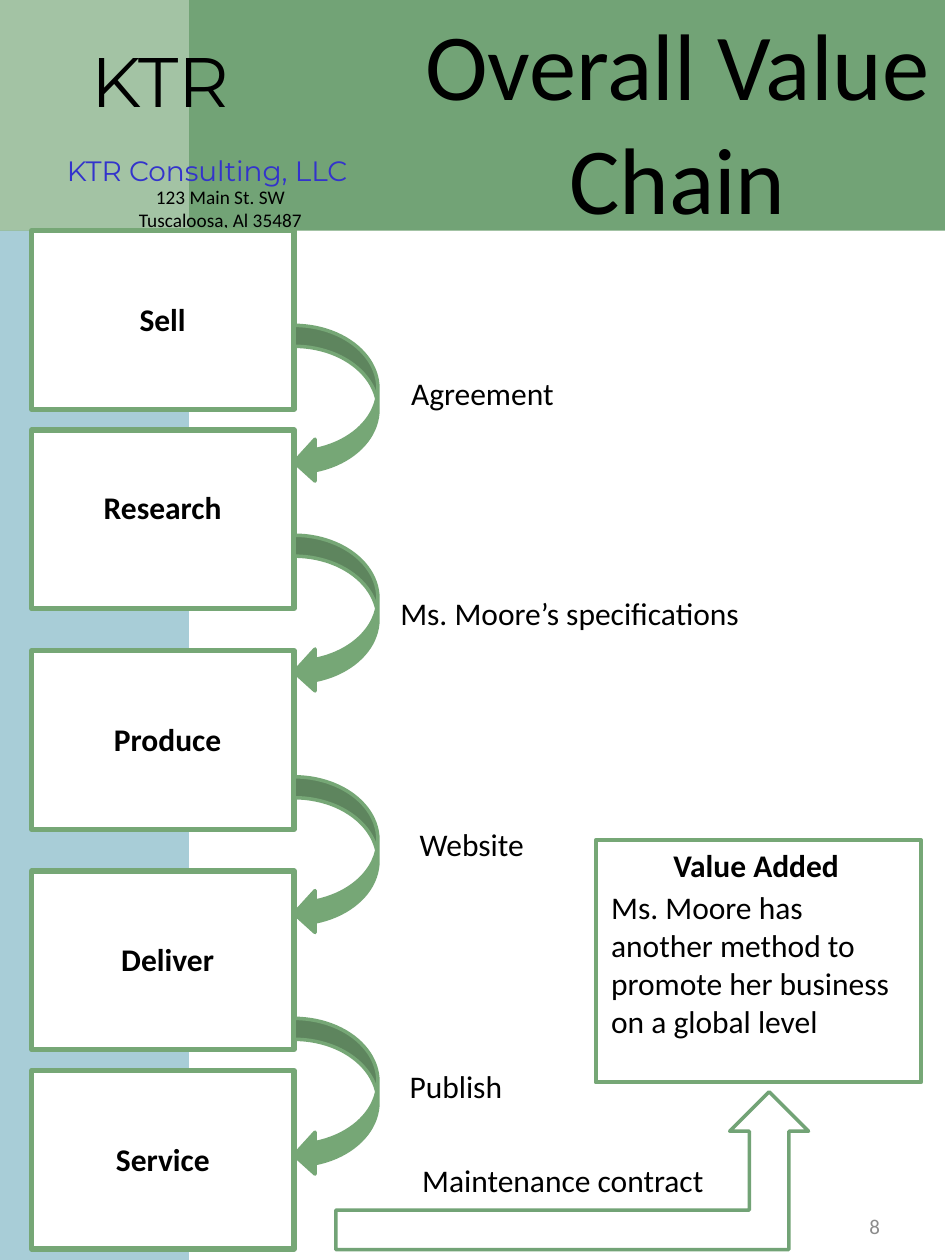
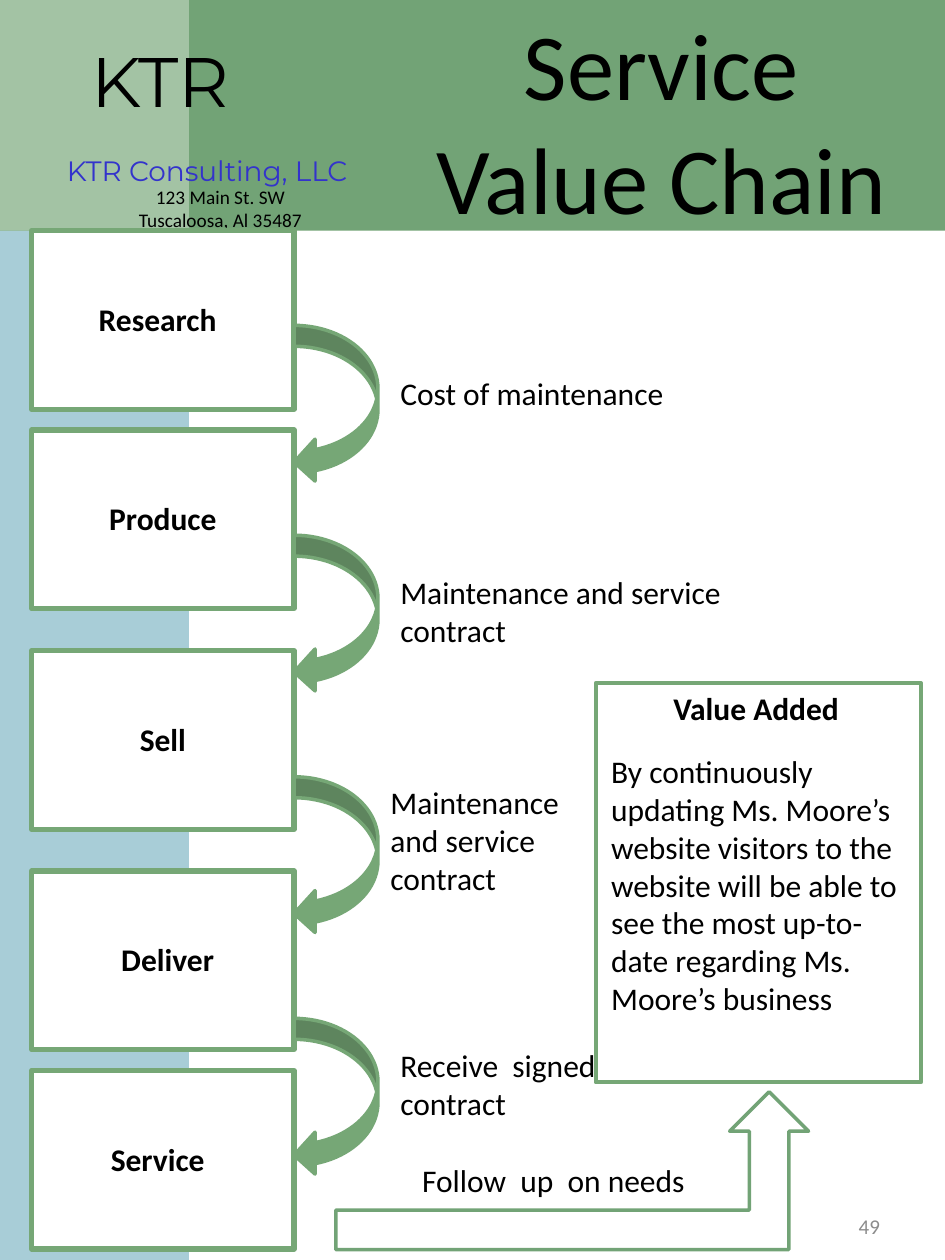
from dataclasses import dataclass

from lxml import etree
from pptx import Presentation
from pptx.dml.color import RGBColor
from pptx.enum.shapes import MSO_SHAPE as Preset
from pptx.enum.text import MSO_ANCHOR as Anchor, MSO_AUTO_SIZE as AutoSize, PP_ALIGN as Align
from pptx.oxml.ns import qn
from pptx.util import Cm, Pt

COLORS = {
    "text": "000000", "company": "3333CC", "number": "8C8C8C", "paper": "FFFFFF",
    "band": "72A376", "corner": "B0CCB0", "side": "A8CDD7", "flow": "76A776",
}
BODY_FONT, BRAND_FONT = "Calibri", "Montserrat"
PAGE_W, PAGE_H, BAND_H, SIDE_W = 19.05, 25.4, 4.65, 3.81

# Flow geometry, relative to the flow's top left corner
FLOW_BOX = (0.64, 4.65)
STEP_W, STEP_H = 5.29, 3.6
STEP_TOPS = (0, 4.02, 8.47, 12.91, 16.93)
ARROW_W, ARROW_H = 1.69, 3.18
ARROW_TOPS = (1.91, 6.14, 11.01, 15.88)


@dataclass
class Caption:
    text: str
    left: float
    top: float
    width: float
    lines: int = 1
    align: Align = Align.LEFT


@dataclass
class ValueChain:
    title: str
    title_left: float
    number: str
    steps: list       # captions, each relative to its step box
    outputs: list     # captions relative to the flow
    value: str
    value_top: float
    value_lines: int
    value_gap: float  # from the panel's top to its body


def rgb(name):
    return RGBColor.from_string(COLORS[name])


def add_block(slide, preset, left, top, width, height, fill, line=None, weight=2):
    block = slide.shapes.add_shape(preset, Cm(left), Cm(top), Cm(width), Cm(height))
    block.shadow.inherit = False
    block.fill.solid()
    block.fill.fore_color.rgb = rgb(fill)
    if line:
        block.line.color.rgb = rgb(line)
        block.line.width = Pt(weight)
    else:
        block.line.fill.background()
    return block


def write(frame, text, size, align, color="text", font=BODY_FONT, bold=False):
    for i, line in enumerate(text.split("\n")):
        para = frame.add_paragraph() if i else frame.paragraphs[0]
        para.alignment = align
        run = para.add_run()
        run.text = line
        run.font.name, run.font.size, run.font.bold = font, Pt(size), bold
        run.font.color.rgb = rgb(color)


def add_text(slide, left, top, width, height, text, size=18, align=Align.LEFT,
             wrap=True, **style):
    label = slide.shapes.add_textbox(Cm(left), Cm(top), Cm(width), Cm(height))
    label.text_frame.word_wrap = wrap
    write(label.text_frame, text, size, align, **style)
    return label


def add_caption(slide, x, y, caption, bold=False):
    label = add_text(slide, x + caption.left, y + caption.top, caption.width,
                     0.25 + 0.77 * caption.lines, caption.text,
                     align=caption.align, bold=bold)
    label.text_frame.auto_size = AutoSize.SHAPE_TO_FIT_TEXT


def add_letterhead(slide, layout):
    """Draw the shared bands and company details, then keep them on the layout."""
    side_top = 1.7
    corner = (0, 0, SIDE_W, BAND_H)
    parts = [
        add_block(slide, Preset.RECTANGLE, 0, side_top, SIDE_W, PAGE_H - side_top, "side"),
        add_block(slide, Preset.RECTANGLE, 0, 0, PAGE_W, BAND_H, "band"),
        add_block(slide, Preset.RECTANGLE, *corner, "corner"),
        add_text(slide, 1.17, 0.64, 4.11, 1.96, "KTR", 40, Align.CENTER,
                 wrap=False, font=BRAND_FONT),
        add_text(slide, 1.07, 2.97, 6.22, 0.79, "KTR Consulting, LLC", 16, Align.CENTER,
                 wrap=False, font=BRAND_FONT, color="company"),
        add_text(slide, 0, 3.61, 8.89, 1.19, "123 Main St. SW\nTuscaloosa, Al 35487",
                 11, Align.CENTER),
    ]
    # Translucent corner
    tint = parts[2].element.find(".//" + qn("a:srgbClr"))
    etree.SubElement(tint, qn("a:alpha")).set("val", "80000")
    for part_id, part in enumerate(parts, 101):
        part.element.find(".//" + qn("p:cNvPr")).set("id", str(part_id))
        layout.shapes.element.append(part.element)


def set_title(slide, text, left):
    title = slide.shapes.title
    title.left, title.top = Cm(left), Cm(0)
    title.width, title.height = Cm(PAGE_W - left), Cm(4.88)
    title.text_frame.word_wrap = True
    title.text_frame.auto_size = AutoSize.NONE
    title.text_frame.vertical_anchor = Anchor.TOP
    write(title.text_frame, text, 54, Align.CENTER)


def add_flow(slide, x, y, chain):
    # Step boxes and the arrows between them
    for top in STEP_TOPS:
        add_block(slide, Preset.RECTANGLE, x, y + top, STEP_W, STEP_H, "paper", "flow", 3)
    for top in ARROW_TOPS:
        add_block(slide, Preset.CURVED_LEFT_ARROW, x + STEP_W, y + top,
                  ARROW_W, ARROW_H, "flow", "flow")
    # Arrow from the last step up to the added value
    add_block(slide, Preset.BENT_UP_ARROW, x + 6.13, y + 17.36, 9.53, 3.18, "paper", "band")
    add_value_panel(slide, 12.01, chain.value_top, 6.56, 21.82 - chain.value_top, chain)
    # Step names and what each step hands on
    for top, step in zip(STEP_TOPS, chain.steps):
        add_caption(slide, x, y + top, step, bold=True)
    for output in chain.outputs:
        add_caption(slide, x, y, output)


def add_value_panel(slide, x, y, width, height, chain):
    add_block(slide, Preset.RECTANGLE, x, y, width, height, "paper", "flow", 2.25)
    add_caption(slide, x, y, Caption("Value Added", 0.06, 0, 6.35, align=Align.CENTER),
                bold=True)
    add_caption(slide, x, y, Caption(chain.value, 0.06, chain.value_gap, 6.35,
                                     chain.value_lines))


def add_page_number(slide, number):
    label = add_text(slide, 13.54, 24.05, 4.45, 1.35, number, 12, Align.RIGHT,
                     color="number")
    label.text_frame.vertical_anchor = Anchor.MIDDLE


def build_chain_slide(slide, chain):
    set_title(slide, chain.title, chain.title_left)
    add_flow(slide, *FLOW_BOX, chain)
    add_page_number(slide, chain.number)


def step(name, left, width, top=1.27):
    return Caption(name, left, top, width, align=Align.CENTER)


CHAINS = [
    ValueChain(
        "Overall Value Chain", 8.26, "8",
        [step("Sell", 0.2, 4.88), step("Research", 0.2, 4.88, 1.04),
         step("Produce", 0.2, 5.08), step("Deliver", 0.2, 5.08), step("Service", 0, 5.29)],
        [Caption("Agreement", 7.18, 2.77, 3.81, align=Align.CENTER),
         Caption("Ms. Moore’s specifications", 7.18, 7.21, 8.46),
         Caption("Website", 7.18, 11.86, 3.38, align=Align.CENTER),
         Caption("Publish", 7.18, 16.74, 2.74, align=Align.CENTER),
         Caption("Maintenance contract", 7.62, 18.64, 6.78)],
        "Ms. Moore has another method to promote her business on a global level",
        16.94, 4, 0.84),
    ValueChain(
        "Service\nValue Chain", 7.62, "49",
        [step("Research", 0, 5.08), step("Produce", 0, 5.29), step("Sell", 0, 5.29),
         step("Deliver", 0.2, 5.08), step("Service", 0, 5.08)],
        [Caption("Cost of maintenance", 7.18, 2.77, 8.46),
         Caption("Maintenance and service contract", 7.18, 6.78, 7.82, 2),
         Caption("Maintenance and service contract", 6.98, 11.02, 4.45, 3),
         Caption("Receive  signed\ncontract", 7.18, 16.31, 4.65, 2),
         Caption("Follow  up  on needs", 7.62, 18.64, 6.78)],
        "By continuously updating Ms. Moore’s website visitors to the website will be "
        "able to see the most up-to-date regarding Ms. Moore’s business",
        13.77, 7, 1.27),
]


def main():
    deck = Presentation()
    deck.slide_width, deck.slide_height = Cm(PAGE_W), Cm(PAGE_H)
    layout = deck.slide_layouts[5]
    slides = [deck.slides.add_slide(layout) for _ in CHAINS]
    add_letterhead(slides[0], layout)
    for slide, chain in zip(slides, CHAINS):
        build_chain_slide(slide, chain)
    deck.save("out.pptx")


if __name__ == "__main__":
    main()
